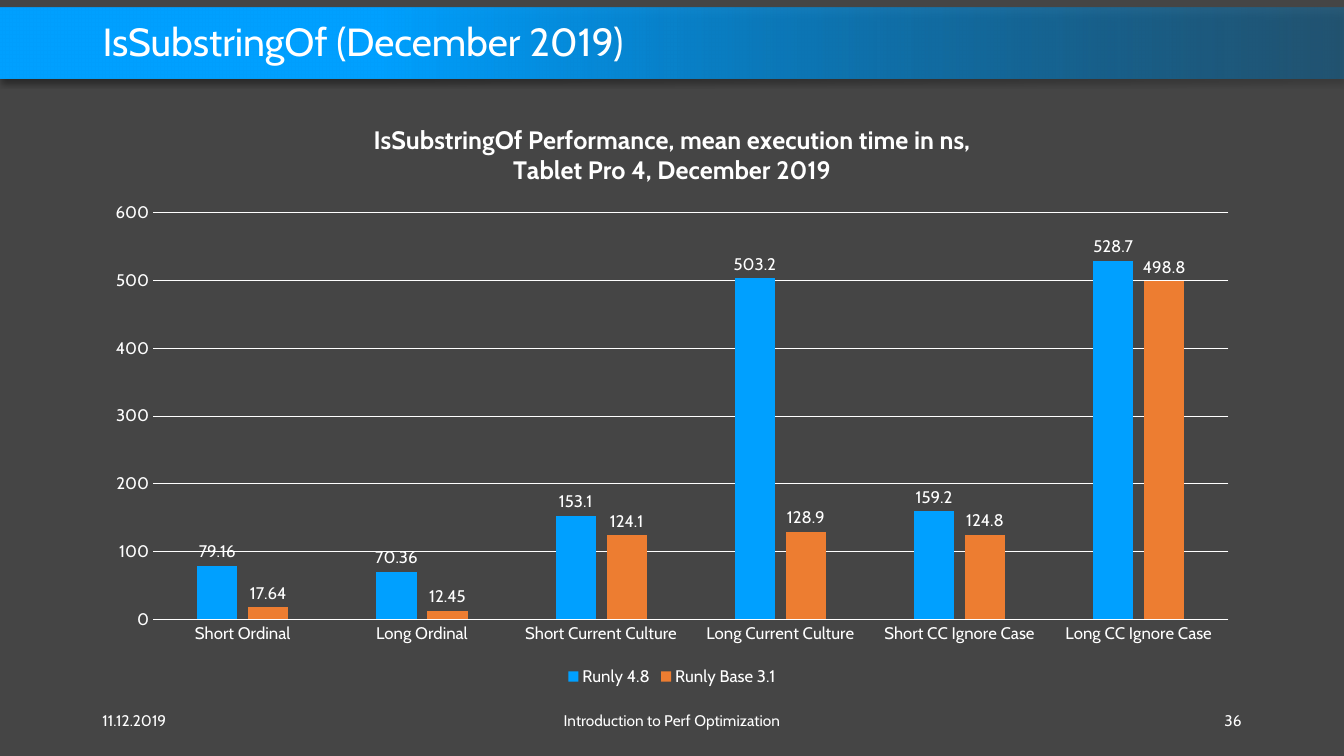
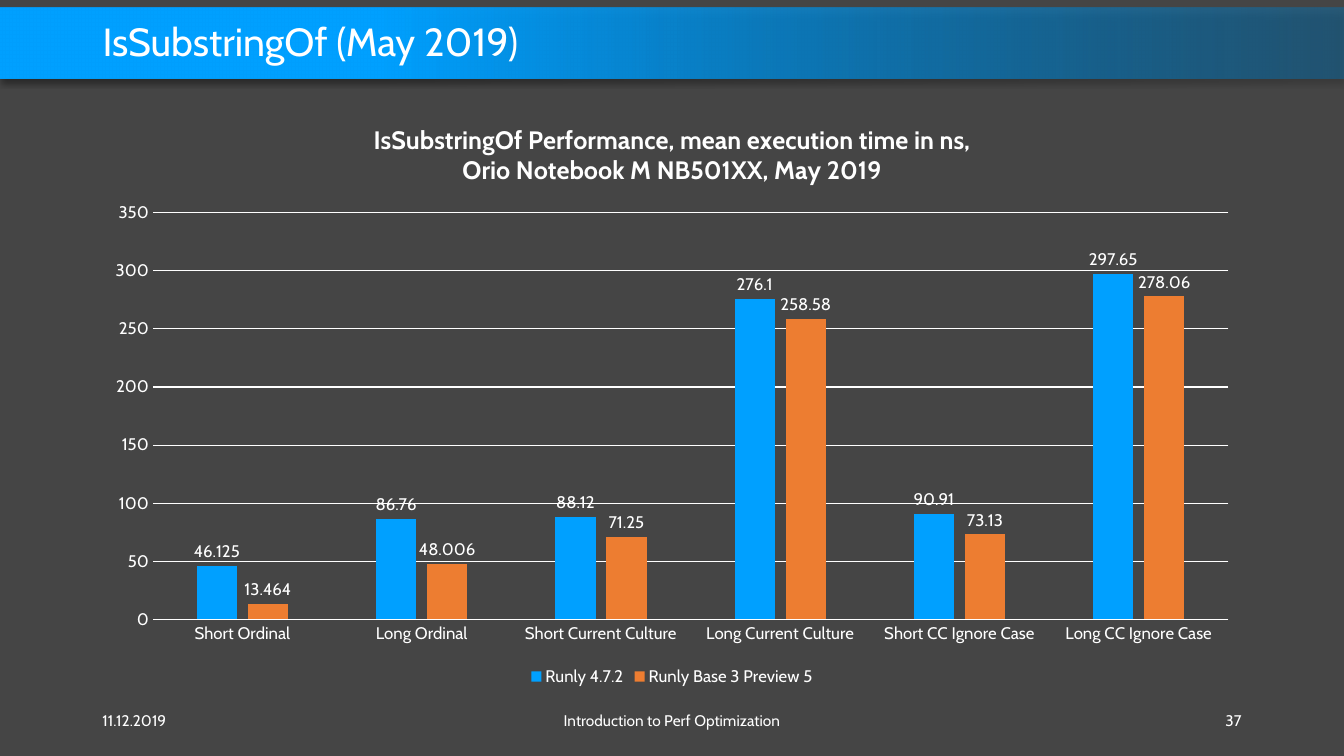
"""Build two slides that compare IsSubstringOf timings in column charts."""
from lxml.etree import SubElement
from pptx import Presentation
from pptx.chart.data import CategoryChartData
from pptx.dml.color import RGBColor
from pptx.enum.chart import XL_CHART_TYPE, XL_LABEL_POSITION, XL_LEGEND_POSITION, XL_TICK_MARK
from pptx.enum.shapes import MSO_SHAPE
from pptx.enum.text import MSO_ANCHOR, PP_ALIGN
from pptx.oxml.ns import qn
from pptx.util import Cm, Pt

FONT = "Cabin"
WHITE = RGBColor(0xFF, 0xFF, 0xFF)
BACKGROUND = RGBColor(0x45, 0x45, 0x45)
BLUE = RGBColor(0x00, 0xA0, 0xFF)
DEEP_BLUE = RGBColor(0x00, 0x78, 0xBF)
ORANGE = RGBColor(0xED, 0x7D, 0x31)
SERIES_COLORS = (BLUE, ORANGE)

DATE = "11.12.2019"
TALK = "Introduction to Perf Optimization"
FIRST_NUMBER = 36
CATEGORIES = (
    "Short Ordinal", "Long Ordinal",
    "Short Current Culture", "Long Current Culture",
    "Short CC Ignore Case", "Long CC Ignore Case",
)
SLIDES = (
    {
        "title": "IsSubstringOf (December 2019)",
        "chart_title": ("IsSubstringOf Performance, mean execution time in ns,",
                        "Tablet Pro 4, December 2019"),
        "maximum": 600,
        "step": 100,
        "series": {
            "Runly 4.8": (79.16, 70.36, 153.1, 503.2, 159.2, 528.7),
            "Runly Base 3.1": (17.64, 12.45, 124.1, 128.9, 124.8, 498.8),
        },
    },
    {
        "title": "IsSubstringOf (May 2019)",
        "chart_title": ("IsSubstringOf Performance, mean execution time in ns,",
                        "Orio Notebook M NB501XX, May 2019"),
        "maximum": 350,
        "step": 50,
        "series": {
            "Runly 4.7.2": (46.125, 86.76, 88.12, 276.1, 90.91, 297.65),
            "Runly Base 3 Preview 5": (13.464, 48.006, 71.25, 258.58, 73.13, 278.06),
        },
    },
)

WIDTH, HEIGHT = Cm(33.87), Cm(19.05)
MARGIN = Cm(2.33)
CONTENT_WIDTH = WIDTH - 2 * MARGIN
FOOTER_TOP, FOOTER_HEIGHT = Cm(17.65), Cm(1.02)
SIDE_WIDTH, MIDDLE_WIDTH = Cm(7.62), Cm(11.43)


def style_font(font, size):
    font.name = FONT
    font.size = Pt(size)
    font.color.rgb = WHITE


def write(paragraph, text, size):
    span = paragraph.add_run()
    span.text = text
    style_font(span.font, size)


def set_alpha(color, percent):
    SubElement(color, qn("a:alpha"), val=str(percent * 1000))


def add_band(page, layout):
    band = page.shapes.add_shape(MSO_SHAPE.RECTANGLE, 0, Cm(0.2), WIDTH, Cm(1.78))
    band.line.fill.background()
    band.fill.gradient()
    band.fill.gradient_angle = 180
    for stop, position, color in zip(band.fill.gradient_stops, (0, 0.72), (DEEP_BLUE, BLUE)):
        stop.position = position
        stop.color.rgb = color
    set_alpha(band.element.spPr.find(".//" + qn("a:srgbClr")), 40)
    band.shadow.inherit = False
    effects = band.element.spPr.find(qn("a:effectLst"))
    shadow = SubElement(effects, qn("a:outerShdw"), blurRad=str(Pt(4)), dist=str(Pt(3)),
                        dir="5400000", algn="t", rotWithShape="0")
    set_alpha(SubElement(shadow, qn("a:srgbClr"), val="000000"), 40)
    layout.shapes.element.insert(2, band.element)


def add_title(page, text):
    title = page.shapes.title
    title.left, title.top, title.width, title.height = MARGIN, Cm(0.41), CONTENT_WIDTH, Cm(1.4)
    title.text_frame.vertical_anchor = MSO_ANCHOR.MIDDLE
    paragraph = title.text_frame.paragraphs[0]
    paragraph.alignment = PP_ALIGN.LEFT
    paragraph.line_spacing = 0.9
    write(paragraph, text, 28)


def add_footers(page, number):
    footers = (
        (DATE, MARGIN, SIDE_WIDTH, PP_ALIGN.LEFT),
        (TALK, (WIDTH - MIDDLE_WIDTH) // 2, MIDDLE_WIDTH, PP_ALIGN.CENTER),
        (str(number), WIDTH - MARGIN - SIDE_WIDTH, SIDE_WIDTH, PP_ALIGN.RIGHT),
    )
    for text, left, width, alignment in footers:
        box = page.shapes.add_textbox(left, FOOTER_TOP, width, FOOTER_HEIGHT)
        box.text_frame.word_wrap = True
        box.text_frame.vertical_anchor = MSO_ANCHOR.MIDDLE
        paragraph = box.text_frame.paragraphs[0]
        paragraph.alignment = alignment
        write(paragraph, text, 11)


def style_line(line):
    line.color.rgb = WHITE
    line.width = Pt(0.75)


def style_axes(chart, content):
    for axis in (chart.category_axis, chart.value_axis):
        axis.major_tick_mark = axis.minor_tick_mark = XL_TICK_MARK.NONE
        style_font(axis.tick_labels.font, 12)
    style_line(chart.category_axis.format.line)
    values = chart.value_axis
    values.minimum_scale, values.maximum_scale = 0, content["maximum"]
    values.major_unit = content["step"]
    values.format.line.fill.background()
    style_line(values.major_gridlines.format.line)


def add_timings(page, content):
    data = CategoryChartData()
    data.categories = CATEGORIES
    for name, timings in content["series"].items():
        data.add_series(name, timings)
    chart = page.shapes.add_chart(XL_CHART_TYPE.COLUMN_CLUSTERED, MARGIN, Cm(2.59),
                                  CONTENT_WIDTH, Cm(14.81), data).chart
    style_font(chart.font, 10)
    style_axes(chart, content)

    chart.has_title = True
    frame = chart.chart_title.text_frame
    chart.chart_title.include_in_layout = False
    first, second = content["chart_title"]
    write(frame.paragraphs[0], first, 18)
    write(frame.add_paragraph(), second, 18)

    chart.has_legend = True
    chart.legend.position = XL_LEGEND_POSITION.BOTTOM
    chart.legend.include_in_layout = False
    style_font(chart.legend.font, 12)

    plot = chart.plots[0]
    plot.gap_width, plot.overlap = 219, -27
    plot.vary_by_categories = False
    for series, color in zip(plot.series, SERIES_COLORS):
        series.format.fill.solid()
        series.format.fill.fore_color.rgb = color
        labels = series.data_labels
        labels.show_value = True
        labels.position = XL_LABEL_POSITION.OUTSIDE_END
        style_font(labels.font, 12)


def main():
    deck = Presentation()
    deck.slide_width, deck.slide_height = WIDTH, HEIGHT
    background = deck.slide_master.background.fill
    background.solid()
    background.fore_color.rgb = BACKGROUND
    layout = deck.slide_layouts.get_by_name("Title Only")
    pages = [deck.slides.add_slide(layout) for _ in SLIDES]
    add_band(pages[0], layout)
    for number, (page, content) in enumerate(zip(pages, SLIDES), FIRST_NUMBER):
        add_title(page, content["title"])
        add_timings(page, content)
        add_footers(page, number)
    deck.save("out.pptx")


if __name__ == "__main__":
    main()
